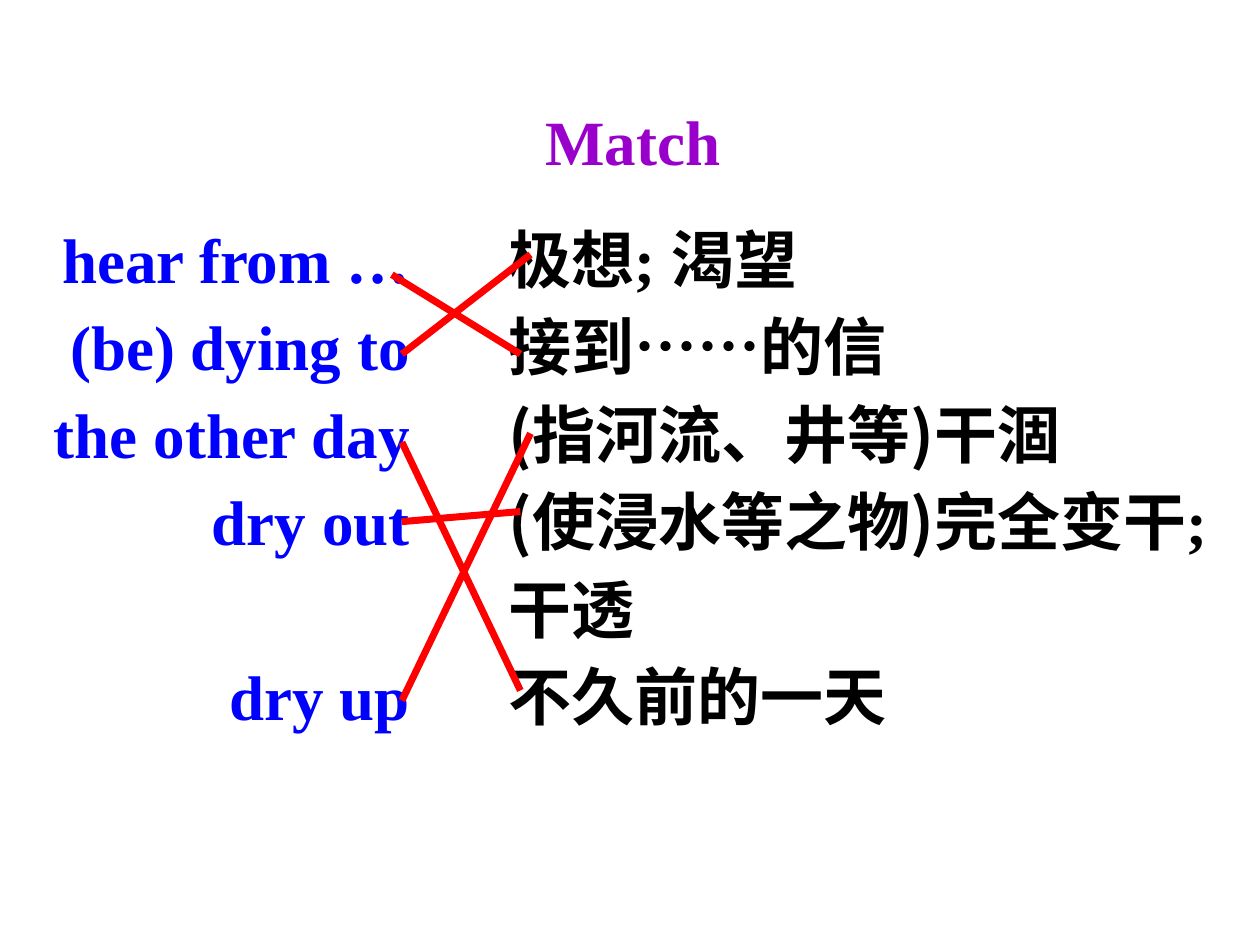
"""Build a slide that matches English phrases with their Chinese meanings."""
import pptx
import pptx.dml.color
import pptx.enum.shapes
import pptx.enum.text
import pptx.oxml.ns
import pptx.util
from lxml import etree

Inches = pptx.util.Inches
Pt = pptx.util.Pt
ALIGN = pptx.enum.text.PP_ALIGN

THEME = {
    "background": "FFFFFF",
    "title": "9900CC",
    "phrase": "0000FF",
    "meaning": "000000",
    "line": "FF0000",
    "size": 36,
    "line_spacing": 43.2,
    "space_before": 6.8,
    "line_width": 4,
    "serif": "Times New Roman",
    "sans": "Arial",
    "chinese": "Noto Sans CJK SC",
}


def color(name):
    return pptx.dml.color.RGBColor.from_string(THEME[name])


def format_run(run, color_name, font_name):
    run.font.size = Pt(THEME["size"])
    run.font.bold = True
    run.font.name = font_name
    run.font.color.rgb = color(color_name)
    east_asian = etree.SubElement(run.font._element, pptx.oxml.ns.qn("a:ea"))
    east_asian.set("typeface", THEME["chinese"])


presentation = pptx.Presentation()
presentation.slide_width = Inches(10)
presentation.slide_height = Inches(7.5)
slide = presentation.slides.add_slide(presentation.slide_layouts[5])
slide.background.fill.solid()
slide.background.fill.fore_color.rgb = color("background")

serif, sans, chinese = THEME["serif"], THEME["sans"], THEME["chinese"]
phrases = [
    [(text, serif)]
    for text in ("hear from …", "(be) dying to", "the other day", "dry out", "dry up")
]
meanings = [
    [("极想", sans), ("; ", serif), ("渴望", sans)],
    [("接到", sans), ("……", chinese), ("的信", sans)],
    [("(指河流、井等)干涸", chinese)],
    [("(使浸水等之物)完全变干", chinese), (";", serif)],
    [("干透", chinese)],
    [("不久前的一天", sans)],
]
columns = [
    (0.2, 3.15, 0.1, ALIGN.RIGHT, "phrase", phrases),
    (3.94, 6.18, 0.5, ALIGN.LEFT, "meaning", meanings),
]
for left, width, margin_right, alignment, color_name, entries in columns:
    shape = slide.shapes.add_textbox(Inches(left), Inches(1.7), Inches(width), Inches(4.95))
    shape.fill.solid()
    shape.fill.fore_color.rgb = color("background")
    text_frame = shape.text_frame
    text_frame.word_wrap = True
    text_frame.margin_top = Inches(0.05)
    text_frame.margin_right = Inches(margin_right)
    for index, entry in enumerate(entries):
        paragraph = text_frame.add_paragraph() if index else text_frame.paragraphs[0]
        paragraph.alignment = alignment
        paragraph.line_spacing = Pt(THEME["line_spacing"])
        paragraph.space_before = Pt(THEME["space_before"] if index else 0)
        properties = paragraph._p.get_or_add_pPr()
        properties.set("marL", str(Inches(0.38)))
        properties.set("indent", str(Inches(-0.38)))
        for text, font_name in entry:
            run = paragraph.add_run()
            run.text = text
            format_run(run, color_name, font_name)

last_phrase = slide.shapes[1].text_frame.paragraphs[-1]
last_phrase.space_before = Pt(THEME["line_spacing"] + 2 * THEME["space_before"])

title = slide.shapes.title
title.left, title.top = Inches(4.23), Inches(0.76)
title.width, title.height = Inches(1.71), Inches(0.7)
title.text_frame.text = "Match"
title.text_frame.word_wrap = False
title.text_frame.auto_size = pptx.enum.text.MSO_AUTO_SIZE.NONE
title.text_frame.vertical_anchor = pptx.enum.text.MSO_ANCHOR.TOP
title_paragraph = title.text_frame.paragraphs[0]
title_paragraph.alignment = ALIGN.LEFT
title_paragraph.line_spacing = Pt(THEME["line_spacing"])
format_run(title_paragraph.runs[0], "title", serif)

matches = [
    (3.11, 2.18, 4.13, 2.81),
    (3.19, 2.81, 4.21, 2.02),
    (3.19, 3.51, 4.13, 5.48),
    (3.19, 4.14, 4.13, 4.06),
    (3.19, 5.56, 4.21, 3.44),
]
for match in matches:
    connector = slide.shapes.add_connector(
        pptx.enum.shapes.MSO_CONNECTOR.STRAIGHT, *map(Inches, match)
    )
    connector.line.color.rgb = color("line")
    connector.line.width = Pt(THEME["line_width"])
    etree.SubElement(connector._element.spPr, pptx.oxml.ns.qn("a:effectLst"))

presentation.save("out.pptx")
